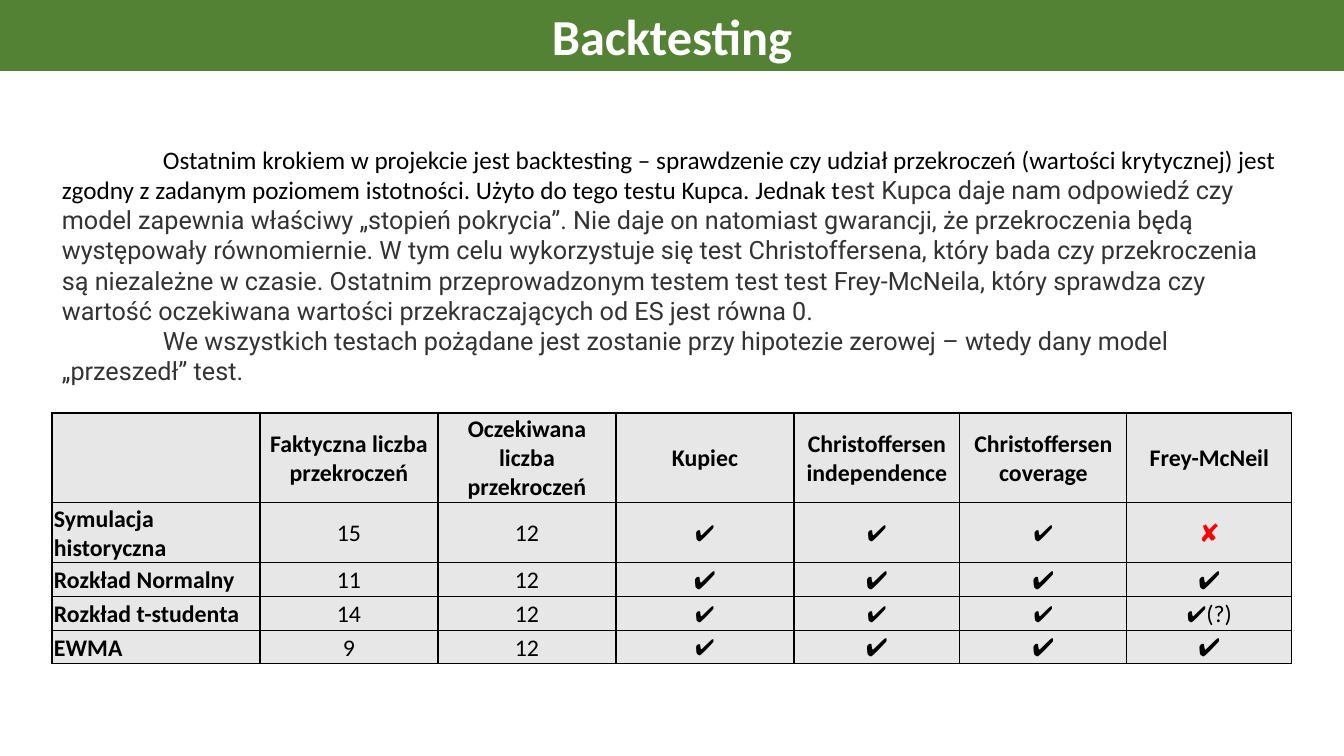
import lxml.etree
import pptx
import pptx.dml.color
import pptx.enum.text
import pptx.oxml.ns
import pptx.util

COLOURS = {
    "bar": "548235", "white": "FFFFFF", "black": "000000",
    "cell": "E7E7E7", "grey": "333333", "red": "FF0000",
}
PX = 914400 / 100.8
MIDDLE = pptx.enum.text.MSO_ANCHOR.MIDDLE
CENTER = pptx.enum.text.PP_ALIGN.CENTER
LEFT = pptx.enum.text.PP_ALIGN.LEFT


def px(count):
    return pptx.util.Emu(round(count * PX))


def colour(name):
    return pptx.dml.color.RGBColor.from_string(COLOURS[name])


class SlideBuilder:
    """Holds the shared text style and the slide being filled."""

    style = {"name": "Calibri", "size": 18, "bold": False, "colour": "black"}

    def __init__(self, page):
        self.page = page

    def add_span(self, para, text, **changes):
        span = para.add_run()
        span.text = text
        values = {**self.style, **changes}
        values["size"] = pptx.util.Pt(values["size"])
        span.font.color.rgb = colour(values.pop("colour"))
        for key, value in values.items():
            setattr(span.font, key, value)

    def place(self, box, left, top, width, height):
        frame = {"left": left, "top": top, "width": width, "height": height}
        for key, value in frame.items():
            setattr(box, key, px(value))

    def title(self, text, *frame):
        box = self.page.shapes.title
        self.place(box, *frame)
        box.fill.solid()
        box.fill.fore_color.rgb = colour("bar")
        settings = {"auto_size": pptx.enum.text.MSO_AUTO_SIZE.NONE,
                    "vertical_anchor": MIDDLE, "word_wrap": True}
        for key, value in settings.items():
            setattr(box.text_frame, key, value)
        para = box.text_frame.paragraphs[0]
        para.alignment = CENTER
        self.add_span(para, text, size=36, bold=True, colour="white")

    def prose(self, paragraphs, indent, *frame):
        """Adds a text box whose paragraphs start with a first-line indent."""
        box = self.page.shapes.add_textbox(*map(px, frame))
        box.text_frame.word_wrap = True
        for index, spans in enumerate(paragraphs):
            para = (box.text_frame.add_paragraph() if index
                    else box.text_frame.paragraphs[0])
            properties = para._p.get_or_add_pPr()
            properties.set("marL", "0")
            properties.set("indent", str(px(indent)))
            for text, changes in spans:
                self.add_span(para, text, **changes)

    def table(self, rows, left, top, widths, heights):
        """Fills a table; each cell is a list of paragraphs of spans."""
        table = self.page.shapes.add_table(
            len(heights), len(widths), px(left), px(top),
            px(sum(widths)), px(sum(heights))).table
        table.first_row = table.horz_banding = False
        for column, width in zip(table.columns, widths):
            column.width = px(width)
        for row, height, contents in zip(table.rows, heights, rows):
            row.height = px(height)
            for index, (cell, paragraphs) in enumerate(zip(row.cells, contents)):
                self.fill_cell(cell, paragraphs, CENTER if index else LEFT)

    def fill_cell(self, cell, paragraphs, alignment):
        settings = {"margin_left": px(2), "margin_right": px(2), "margin_top": px(2),
                    "margin_bottom": 0, "vertical_anchor": MIDDLE}
        for key, value in settings.items():
            setattr(cell, key, value)
        for index, spans in enumerate(paragraphs):
            para = (cell.text_frame.add_paragraph() if index
                    else cell.text_frame.paragraphs[0])
            para.alignment = alignment
            for text, changes in spans:
                self.add_span(para, text, **changes)
        self.border(cell)
        cell.fill.solid()
        cell.fill.fore_color.rgb = colour("cell")

    def border(self, cell):
        qn = pptx.oxml.ns.qn
        properties = cell._tc.get_or_add_tcPr()
        for side in ("a:lnL", "a:lnR", "a:lnT", "a:lnB"):
            line = lxml.etree.SubElement(properties, qn(side), w=str(pptx.util.Pt(1)))
            fill = lxml.etree.SubElement(line, qn("a:solidFill"))
            lxml.etree.SubElement(fill, qn("a:srgbClr"), val=COLOURS["black"])


def words(*lines, bold=False):
    return [[(line, {"size": 17, "bold": bold})] for line in lines]


def mark(size, symbol="✔", **changes):
    return [[(symbol, {"size": size, **changes})]]


def result_row(model, exceeded, marks):
    return [words(model, bold=True), words(exceeded), words("12"), *marks]


INTRO = (
    "Ostatnim krokiem w projekcie jest backtesting – sprawdzenie czy udział "
    "przekroczeń (wartości krytycznej) jest zgodny z zadanym poziomem istotności. "
    "Użyto do tego testu Kupca. Jednak t"
)
TESTS = (
    "est Kupca daje nam odpowiedź czy model zapewnia właściwy „stopień pokrycia”. "
    "Nie daje on natomiast gwarancji, że przekroczenia będą występowały równomiernie. "
    "W tym celu wykorzystuje się test Christoffersena, który bada czy przekroczenia "
    "są niezależne w czasie. Ostatnim przeprowadzonym testem test test Frey-McNeila, "
    "który sprawdza czy wartość oczekiwana wartości przekraczających od ES jest równa 0."
)
CONCLUSION = (
    "We wszystkich testach pożądane jest zostanie przy hipotezie zerowej – wtedy "
    "dany model „przeszedł” test."
)
HEADINGS = [
    (), ("Faktyczna liczba przekroczeń",), ("Oczekiwana liczba przekroczeń",),
    ("Kupiec",), ("Christoffersen", "independence"), ("Christoffersen", "coverage"),
    ("Frey-McNeil",),
]
UNCERTAIN = [[("✔", {"size": 16}), ("(?)", {"size": 17})]]
RESULTS = [
    ("Symulacja historyczna", "15", [mark(16)] * 3 + [mark(18, "✘", colour="red")]),
    ("Rozkład Normalny", "11", [mark(18)] * 4),
    ("Rozkład t-studenta", "14", [mark(16)] * 3 + [UNCERTAIN]),
    ("EWMA", "9", [mark(16)] + [mark(18)] * 3),
]


def main():
    deck = pptx.Presentation()
    deck.slide_width, deck.slide_height = px(1344), px(756)
    builder = SlideBuilder(deck.slides.add_slide(deck.slide_layouts[5]))
    builder.title("Backtesting", 0, 0, 1344, 71)
    rows = [[words(*lines, bold=True) for lines in HEADINGS]]
    rows += [result_row(*result) for result in RESULTS]
    builder.table(rows, 52, 413, [208, 178, 178, 178, 166, 167, 165],
                  [88, 58, 34, 34, 33])
    roboto = {"name": "Roboto", "colour": "grey"}
    builder.prose([[(INTRO, {}), (TESTS, roboto)], [(CONCLUSION, roboto)]],
                  101, 52, 139, 1240, 254)
    deck.save("out.pptx")


if __name__ == "__main__":
    main()
